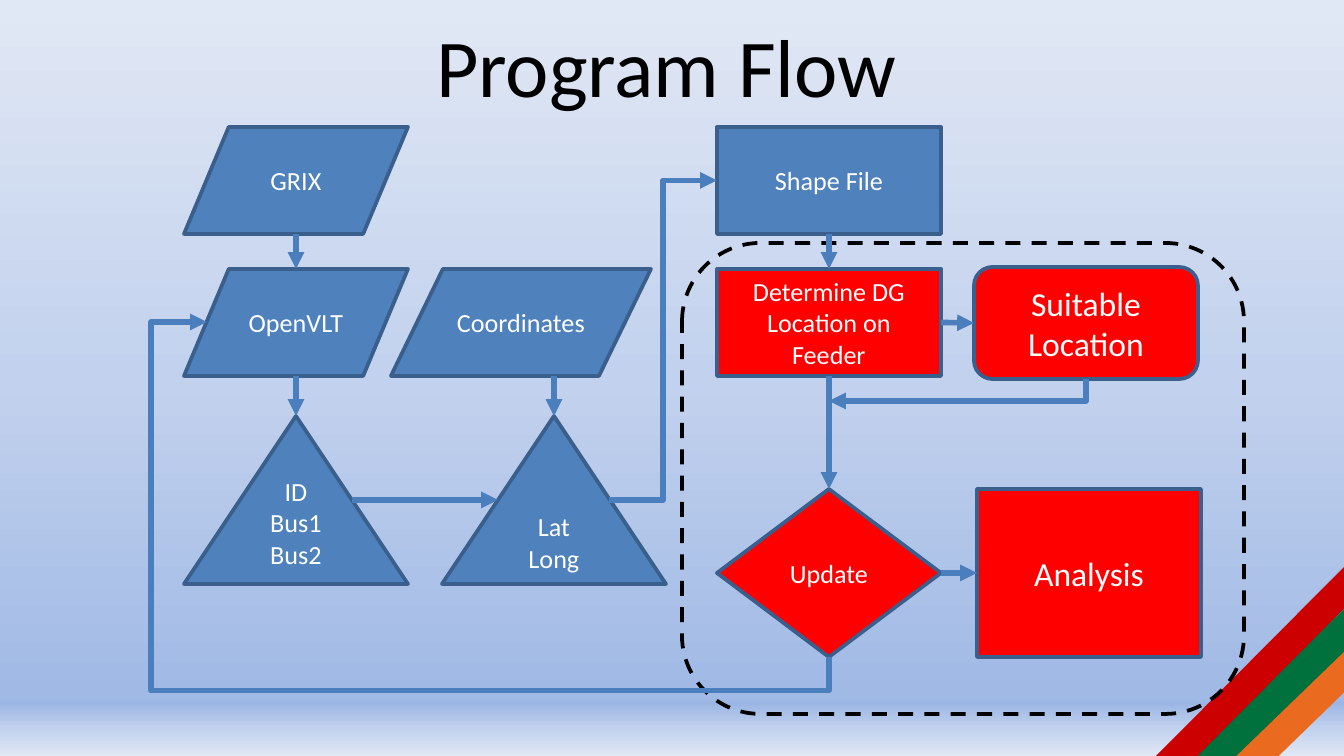
from copy import deepcopy

from pptx import Presentation
from pptx.dml.color import RGBColor
from pptx.enum.dml import MSO_LINE
from pptx.enum.shapes import MSO_CONNECTOR as Link, MSO_SHAPE as Kind
from pptx.enum.text import MSO_ANCHOR as Anchor, PP_ALIGN as Align
from pptx.oxml.ns import qn
from pptx.util import Emu, Pt
from lxml.etree import SubElement

SLIDE_WIDTH, SLIDE_HEIGHT = 1344, 756
SCALE = 9144000 / SLIDE_WIDTH
TOP, LEFT, BOTTOM, RIGHT = range(4)
FONT = "Calibri"
BLACK = RGBColor(0x00, 0x00, 0x00)
WHITE = RGBColor(0xFF, 0xFF, 0xFF)
BLUE = RGBColor(0x4F, 0x81, 0xBD)
EDGE = RGBColor(0x3A, 0x5F, 0x8C)
ARROW = RGBColor(0x4B, 0x7E, 0xBC)
RED = RGBColor(0xFF, 0x00, 0x00)
STRIPE_ORANGE = RGBColor(0xEA, 0x6A, 0x20)
STRIPE_GREEN = RGBColor(0x00, 0x70, 0x3C)
STRIPE_RED = RGBColor(0xCC, 0x00, 0x00)
SKY = (RGBColor(0x9A, 0xB5, 0xE4), RGBColor(0xC2, 0xD1, 0xED), RGBColor(0xE1, 0xE8, 0xF5))


def px(length):
    """Turn a length in px into EMU."""
    return Emu(round(length * SCALE))


def write(shape, text, size, color):
    """Fill a shape with centred, evenly styled paragraphs."""
    frame = shape.text_frame
    frame.word_wrap = True
    frame.vertical_anchor = Anchor.MIDDLE
    frame.text = text
    for paragraph in frame.paragraphs:
        paragraph.alignment = Align.CENTER
        font = paragraph.font
        font.name, font.size = FONT, Pt(size)
        font.color.rgb = color


def add_sky(fill, element, angle):
    """Give a fill the three-stop sky gradient."""
    fill.gradient()
    fill.gradient_angle = angle
    stops = element.find(".//" + qn("a:gsLst"))
    stops.insert(1, deepcopy(stops[0]))
    for index, (stop, color) in enumerate(zip(fill.gradient_stops, SKY)):
        stop.position = index / 2
        stop.color.rgb = color


def add_block(slide, kind, box, origin=(0, 0)):
    """Add a shape without shadow, placed from an origin."""
    left, top, width, height = box
    shape = slide.shapes.add_shape(
        kind, px(origin[0] + left), px(origin[1] + top), px(width), px(height))
    shape.shadow.inherit = False
    return shape


def add_step(slide, origin, kind, box, text, fill=BLUE, size=14):
    """Add one labelled step of the flow."""
    shape = add_block(slide, kind, box, origin)
    shape.fill.solid()
    shape.fill.fore_color.rgb = fill
    shape.line.color.rgb = EDGE
    shape.line.width = Pt(2)
    write(shape, text, size, WHITE)
    return shape


def add_arrow(slide, begin, end, kind=Link.STRAIGHT, origin=(0, 0)):
    """Add an arrow between two points."""
    x, y = origin
    arrow = slide.shapes.add_connector(
        kind, px(x + begin[0]), px(y + begin[1]), px(x + end[0]), px(y + end[1]))
    arrow.line.color.rgb = ARROW
    arrow.line.width = Pt(3)
    properties = arrow.element.spPr
    SubElement(properties.find(qn("a:ln")), qn("a:tailEnd"), type="triangle")
    SubElement(properties, qn("a:effectLst"))
    return arrow


def join(slide, first, first_side, second, second_side):
    """Join two steps by a straight arrow."""
    arrow = add_arrow(slide, (0, 0), (1, 1))
    arrow.begin_connect(first, first_side)
    arrow.end_connect(second, second_side)


def add_turned_elbow(slide, begin, end, preset, adjustments=(), origin=(0, 0)):
    """Add an elbow arrow that sets off downwards, by a quarter turn."""
    middle_x, middle_y = (begin[0] + end[0]) / 2, (begin[1] + end[1]) / 2
    points = [(middle_x + y - middle_y, middle_y - x + middle_x) for x, y in (begin, end)]
    arrow = add_arrow(slide, *points, Link.ELBOW, origin)
    properties = arrow.element.spPr
    properties.find(qn("a:xfrm")).set("rot", str(90 * 60000))
    geometry = properties.find(qn("a:prstGeom"))
    geometry.set("prst", preset)
    guides = geometry.find(qn("a:avLst"))
    for number, value in enumerate(adjustments, 1):
        SubElement(guides, qn("a:gd"), name=f"adj{number}", fmla=f"val {value}")


def build_footer(slide, box):
    """Build the bottom bar with its corner stripes."""
    left, top, width, height = box
    bar = add_block(slide, Kind.RECTANGLE, box)
    add_sky(bar.fill, bar.element, 270)
    bar.line.fill.background()
    stripes = ((109, 106, 0.6, STRIPE_ORANGE),
               (152, 147, 0.71, STRIPE_GREEN),
               (188, 189, 0.78, STRIPE_RED))
    for across, down, inner, color in stripes:
        stripe = add_block(slide, Kind.DIAGONAL_STRIPE,
                           (left + width - across, top + height - down, across, down))
        stripe.rotation = 180
        stripe.adjustments[0] = inner
        stripe.fill.solid()
        stripe.fill.fore_color.rgb = color
        stripe.line.fill.background()


def build_title(slide, box):
    """Build the slide title."""
    write(slide.shapes.add_textbox(*map(px, box)), "Program Flow", 44, BLACK)


def build_sources(slide, origin):
    """Build the data sources and the values drawn from them."""
    data, extract = Kind.FLOWCHART_DATA, Kind.FLOWCHART_EXTRACT
    add_step(slide, origin, data, (0, 0, 224, 107), "GRIX")
    add_step(slide, origin, data, (0, 142, 224, 107), "OpenVLT")
    add_step(slide, origin, data, (207, 142, 260, 107), "Coordinates")
    buses = add_step(slide, origin, extract, (0, 289, 224, 168), "ID\nBus1\nBus2")
    buses.text_frame.margin_bottom = px(46)
    add_step(slide, origin, extract, (258, 289, 224, 168), "Lat\nLong")
    for begin, end in (((112, 107), (112, 142)), ((112, 249), (112, 289)),
                       ((370, 249), (370, 289)), ((168, 373), (314, 373))):
        add_arrow(slide, begin, end, origin=origin)


def build_placement(slide, origin):
    """Build the placement steps and return the shape file step."""
    panel = add_block(slide, Kind.ROUNDED_RECTANGLE, (0, 116, 562, 471), origin)
    panel.fill.background()
    panel.line.color.rgb = BLACK
    panel.line.width = Pt(2)
    panel.line.dash_style = MSO_LINE.DASH
    process = Kind.FLOWCHART_PROCESS
    shape_file = add_step(slide, origin, process, (35, 0, 224, 107), "Shape File")
    determine = add_step(slide, origin, process, (35, 142, 224, 107),
                         "Determine DG Location on Feeder", RED)
    update = add_step(slide, origin, Kind.FLOWCHART_DECISION, (35, 362, 224, 168),
                      "Update", RED)
    suitable = add_step(slide, origin, Kind.FLOWCHART_ALTERNATE_PROCESS,
                        (292, 140, 224, 112), "Suitable Location", RED, 18)
    analysis = add_step(slide, origin, process, (295, 362, 224, 168), "Analysis", RED, 18)
    join(slide, shape_file, BOTTOM, determine, TOP)
    join(slide, determine, BOTTOM, update, TOP)
    join(slide, determine, RIGHT, suitable, LEFT)
    join(slide, update, RIGHT, analysis, LEFT)
    add_turned_elbow(slide, (404, 252), (147, 274), "bentConnector2", origin=origin)
    return shape_file


def build_cross_links(slide, shape_file):
    """Link the sources with the placement steps."""
    arrow = add_arrow(slide, (609, 500), (717, 180), Link.ELBOW)
    arrow.end_connect(shape_file, LEFT)
    add_turned_elbow(slide, (829, 657), (207, 322), "bentConnector4", (-10000, 109000))


def main():
    """Build and save the presentation."""
    presentation = Presentation()
    presentation.slide_width, presentation.slide_height = px(SLIDE_WIDTH), px(SLIDE_HEIGHT)
    slide = presentation.slides.add_slide(presentation.slide_layouts[6])
    add_sky(slide.background.fill, slide.element, 90)
    build_footer(slide, (0, 702, SLIDE_WIDTH, 54))
    build_title(slide, (67, 1, 1199, 127))
    build_sources(slide, (184, 127))
    shape_file = build_placement(slide, (682, 127))
    build_cross_links(slide, shape_file)
    presentation.save("out.pptx")


if __name__ == "__main__":
    main()
